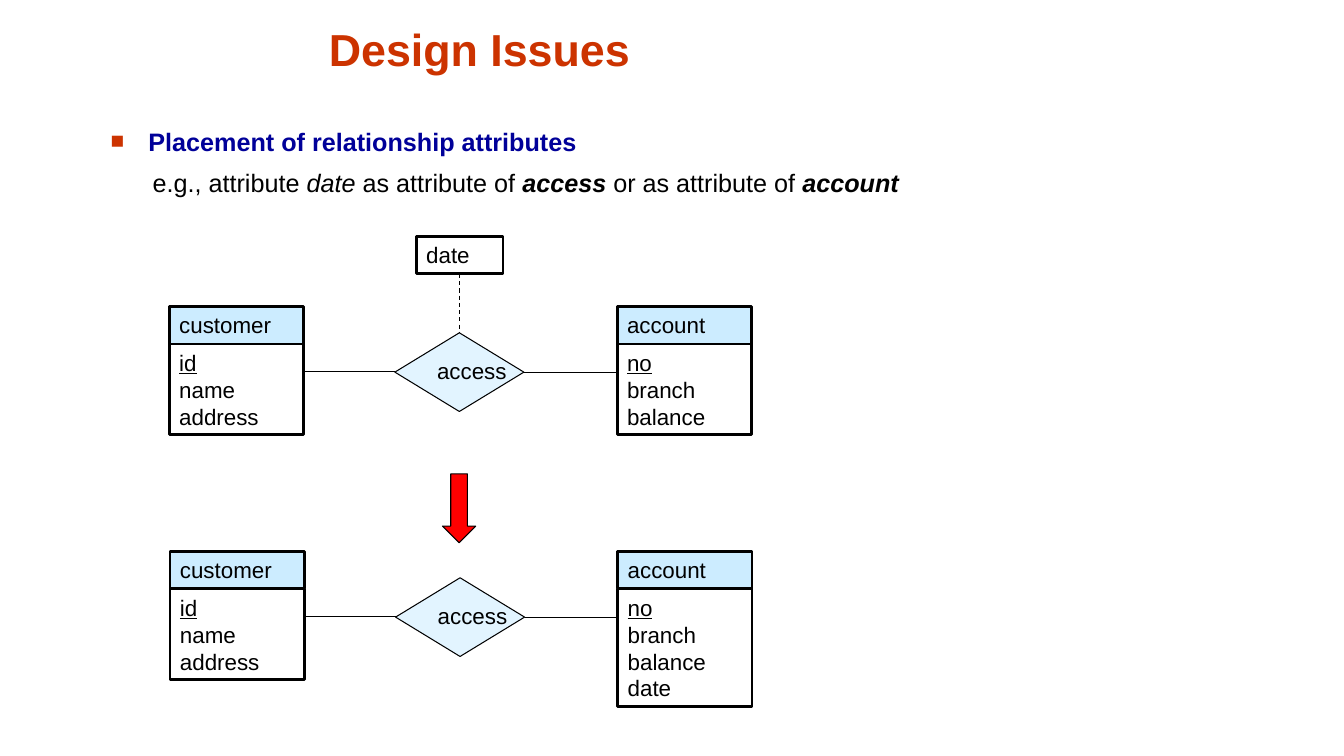
from lxml import etree
from pptx import Presentation
from pptx import util as u
from pptx.dml.color import RGBColor
from pptx.enum import dml, shapes, text
from pptx.oxml import ns

COLORS = {"title": "CC3300", "heading": "000099", "ink": "000000",
          "header": "CCECFF", "relation": "E2F4FF", "arrow": "FF0000"}


class Page:
    """Style and drawing methods for one slide; lengths are in points."""

    font_name = "Arial"
    insets = {"margin_left": u.Pt(7.2), "margin_right": u.Pt(7.2),
              "margin_top": u.Pt(3.6), "margin_bottom": u.Pt(3.6)}

    def __init__(self, deck):
        self.shapes = deck.slides.add_slide(deck.slide_layouts[6]).shapes

    def color(self, name):
        return RGBColor.from_string(COLORS[name])

    def fill_text(self, box, paras, size, color="ink", wrap=True,
                  anchor=text.MSO_ANCHOR.TOP, align=text.PP_ALIGN.LEFT):
        """Each paragraph is a list of (words, font values) spans."""
        frame = box.text_frame
        frame_values = {**self.insets, "word_wrap": wrap, "vertical_anchor": anchor}
        for key, value in frame_values.items():
            setattr(frame, key, value)
        for number, spans in enumerate(paras):
            para = frame.add_paragraph() if number else frame.paragraphs[0]
            para.alignment = align
            for words, values in spans:
                span = para.add_run()
                span.text = words
                span.font.color.rgb = self.color(color)
                font_values = {"name": self.font_name, "size": u.Pt(size), **values}
                for key, value in font_values.items():
                    setattr(span.font, key, value)
        return frame

    def label(self, bounds, paras, size, **style):
        box = self.shapes.add_textbox(*map(u.Pt, bounds))
        return self.fill_text(box, paras, size, **style)

    def shape(self, kind, bounds, fill=None, weight=0.75):
        shape = self.shapes.add_shape(kind, *map(u.Pt, bounds))
        shape.shadow.inherit = False
        if fill:
            shape.fill.solid()
            shape.fill.fore_color.rgb = self.color(fill)
        else:
            shape.fill.background()
        shape.line.color.rgb = self.color("ink")
        shape.line.width = u.Pt(weight)
        return shape

    def box(self, bounds, lines, fill=None, key=False):
        """A framed list of lines; the first is underlined if it is a key."""
        shape = self.shape(shapes.MSO_SHAPE.RECTANGLE, bounds, fill, 2)
        paras = [[(line, {"underline": key and number == 0})]
                 for number, line in enumerate(lines)]
        self.fill_text(shape, paras, 16)

    def entity(self, left, top, name, attributes):
        width, header, line = 96, 26.7, 19.2
        self.box((left, top, width, header), [name], "header")
        height = len(attributes) * line + 7.2
        self.box((left, top + header, width, height), attributes, key=True)

    def relation(self, bounds, name):
        diamond = self.shape(shapes.MSO_SHAPE.DIAMOND, bounds, "relation")
        self.fill_text(diamond, [[(name, {})]], 16, wrap=False)

    def line(self, start, end, dashed=False):
        ends = map(u.Pt, (*start, *end))
        line = self.shapes.add_connector(shapes.MSO_CONNECTOR.STRAIGHT, *ends)
        line.line.color.rgb = self.color("ink")
        line.line.width = u.Pt(0.75)
        if dashed:
            line.line.dash_style = dml.MSO_LINE.DASH
        etree.SubElement(line._element.spPr, ns.qn("a:effectLst"))

    def bullet(self, para, mark, color):
        props = para._p.get_or_add_pPr()
        bullet_color = etree.SubElement(props, ns.qn("a:buClr"))
        etree.SubElement(bullet_color, ns.qn("a:srgbClr"), val=COLORS[color])
        etree.SubElement(props, ns.qn("a:buSzPct"), val="90000")
        etree.SubElement(props, ns.qn("a:buFont"), typeface=self.font_name)
        etree.SubElement(props, ns.qn("a:buChar"), char=mark)

    def indent(self, para, left, first=0):
        props = para._p.get_or_add_pPr()
        props.set("marL", str(u.Pt(left)))
        props.set("indent", str(u.Pt(first)))


def main():
    deck = Presentation()
    deck.slide_width, deck.slide_height = u.Pt(960.5), u.Pt(540)
    page = Page(deck)

    # Title
    page.label((80.6, 9.4, 524.2, 48.2), [[("Design Issues", {"bold": True})]], 32,
               color="title", anchor=text.MSO_ANCHOR.BOTTOM,
               align=text.PP_ALIGN.CENTER)

    # Heading and example
    strong = {"bold": True, "italic": True}
    frame = page.label((72, 86.4, 646.6, 74.2), [
        [("Placement of relationship attributes", {"bold": True})],
        [("e.g., attribute ", {}), ("date ", {"italic": True}),
         ("as attribute of ", {}), ("access", strong),
         (" or as attribute of ", {}), ("account", strong)]], 18)
    heading, example = frame.paragraphs
    heading.runs[0].font.color.rgb = page.color("heading")
    page.indent(heading, 27, -27)
    page.bullet(heading, "■", "title")
    page.indent(example, 30)
    example.space_before = u.Pt(7.9)

    # Entities and relationship, before and after moving the date
    account = ["no", "branch", "balance"]
    for left, top, fields in ((121, 219, account), (121.5, 394, account + ["date"])):
        middle = top + 46.8
        page.entity(left, top, "customer", ["id", "name", "address"])
        page.entity(left + 320, top, "account", fields)
        page.relation((left + 161.2, middle - 28.1, 92.2, 56.2), "access")
        page.line((left + 96, middle - 0.6), (left + 161.2, middle - 0.6))
        page.line((left + 253.4, middle), (left + 320, middle))

    # Date attribute of the relationship
    page.box((297.5, 169, 62, 26.7), ["date"])
    page.line((328.3, 195.7), (328.3, 237.7), dashed=True)

    # Arrow between the two designs
    page.shape(shapes.MSO_SHAPE.DOWN_ARROW, (316.2, 338.5, 23.8, 49.2), "arrow")

    deck.save("out.pptx")


if __name__ == "__main__":
    main()
